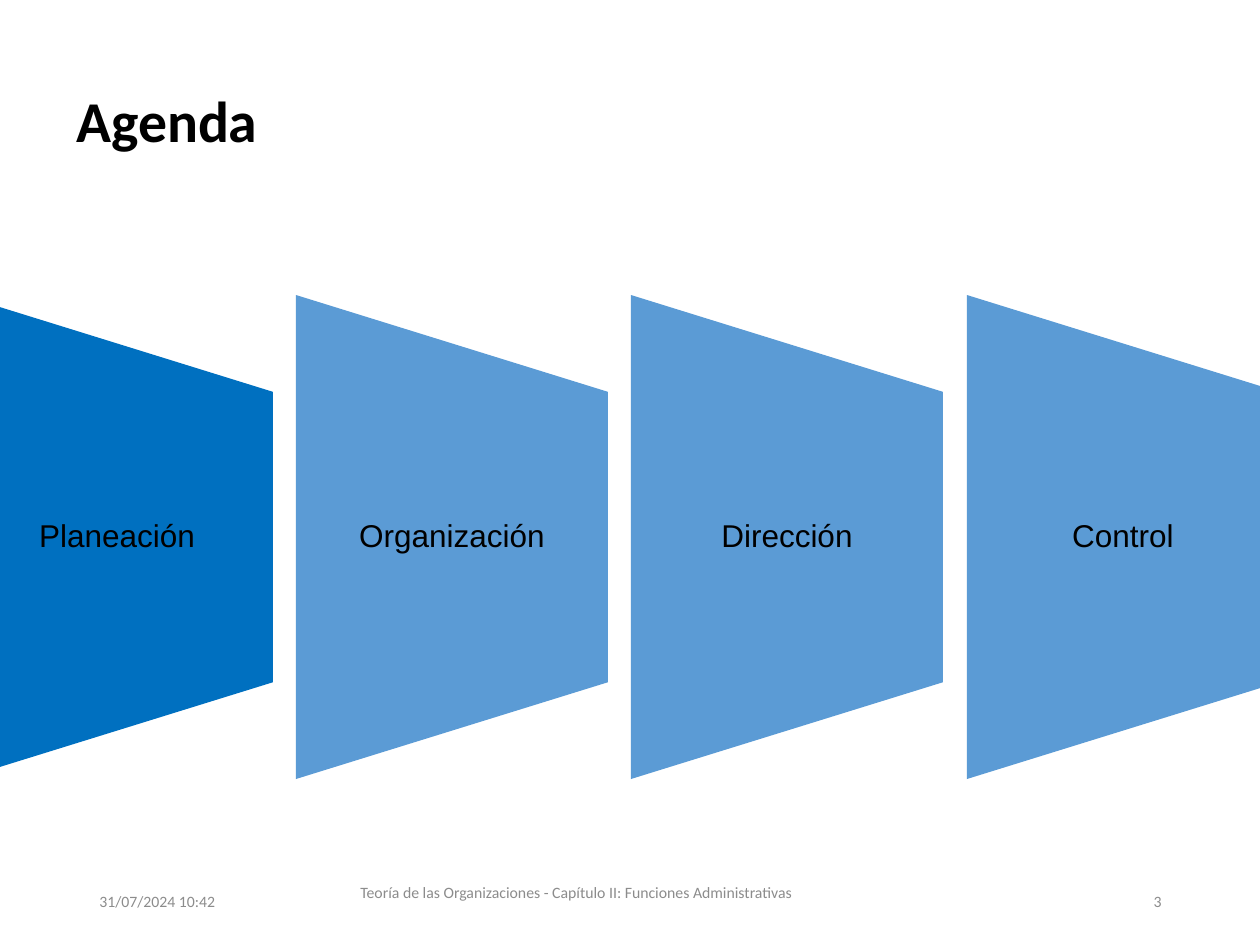
from pptx import Presentation
from pptx.dml.color import RGBColor
from pptx.enum.shapes import MSO_SHAPE
from pptx.enum.text import MSO_ANCHOR, PP_ALIGN
from pptx.util import Pt

SCALE = 914400 / 126  # EMU per px
BLACK = RGBColor(0x00, 0x00, 0x00)
GRAY = RGBColor(0x8C, 0x8C, 0x8C)
DARK = RGBColor(0x00, 0x70, 0xC0)
LIGHT = RGBColor(0x5B, 0x9B, 0xD5)
FLOW = MSO_SHAPE.FLOWCHART_MANUAL_OPERATION
MIDDLE = MSO_ANCHOR.MIDDLE
LEFT, CENTER, RIGHT = PP_ALIGN.LEFT, PP_ALIGN.CENTER, PP_ALIGN.RIGHT


def emu(*px):
    return [round(n * SCALE) for n in px]


class Deck:
    def __init__(self):
        self.prs = Presentation()
        self.prs.slide_width, self.prs.slide_height = emu(1260, 945)
        self.slide = self.prs.slides.add_slide(self.prs.slide_layouts[6])

    def text(self, box, words, size, color=BLACK, font="Calibri",
             align=LEFT, bold=False, space=1.0, inset=None):
        frame = self.slide.shapes.add_textbox(*emu(*box)).text_frame
        frame.word_wrap = True
        frame.vertical_anchor = MIDDLE
        if inset is not None:
            frame.margin_left, frame.margin_right = emu(inset, inset)
            frame.margin_top = frame.margin_bottom = 0
        frame.text = words
        para = frame.paragraphs[0]
        para.alignment = align
        para.line_spacing = space
        style = para.runs[0].font
        style.name, style.size, style.bold = font, Pt(size), bold
        style.color.rgb = color

    def panel(self, left, top, width, height, color):
        """Draw a trapezoid, turned a quarter left, that fills the given box."""
        shift = (height - width) // 2
        box = emu(left - shift, top + shift, height, width)
        shape = self.slide.shapes.add_shape(FLOW, *box)
        shape.rotation = 270
        shape.shadow.inherit = False
        shape.fill.solid()
        shape.fill.fore_color.rgb = color
        shape.line.fill.background()


def main():
    deck = Deck()
    deck.text((64, 45, 1134, 158), "Agenda", 33, bold=True, space=0.9)

    topics = ["Planeación", "Organización", "Dirección", "Control"]
    first, last, width = -39, 967, 312
    for i, topic in enumerate(topics):
        left = first + (last - first) * i // (len(topics) - 1)
        deck.panel(left, 295, width, 484, LIGHT if i else DARK)
        deck.text((left, 392, width, 290), topic, 18, font="Arial",
                  align=CENTER, space=0.9, inset=15)

    footers = [
        ((87, 876, 284, 50), "31/07/2024 10:42", LEFT),
        ((256, 861, 640, 63), "Teoría de las Organizaciones - "
         "Capítulo II: Funciones Administrativas", CENTER),
        ((890, 876, 284, 50), "3", RIGHT),
    ]
    for box, words, align in footers:
        deck.text(box, words, 9, color=GRAY, align=align)

    deck.prs.save("out.pptx")


if __name__ == "__main__":
    main()
